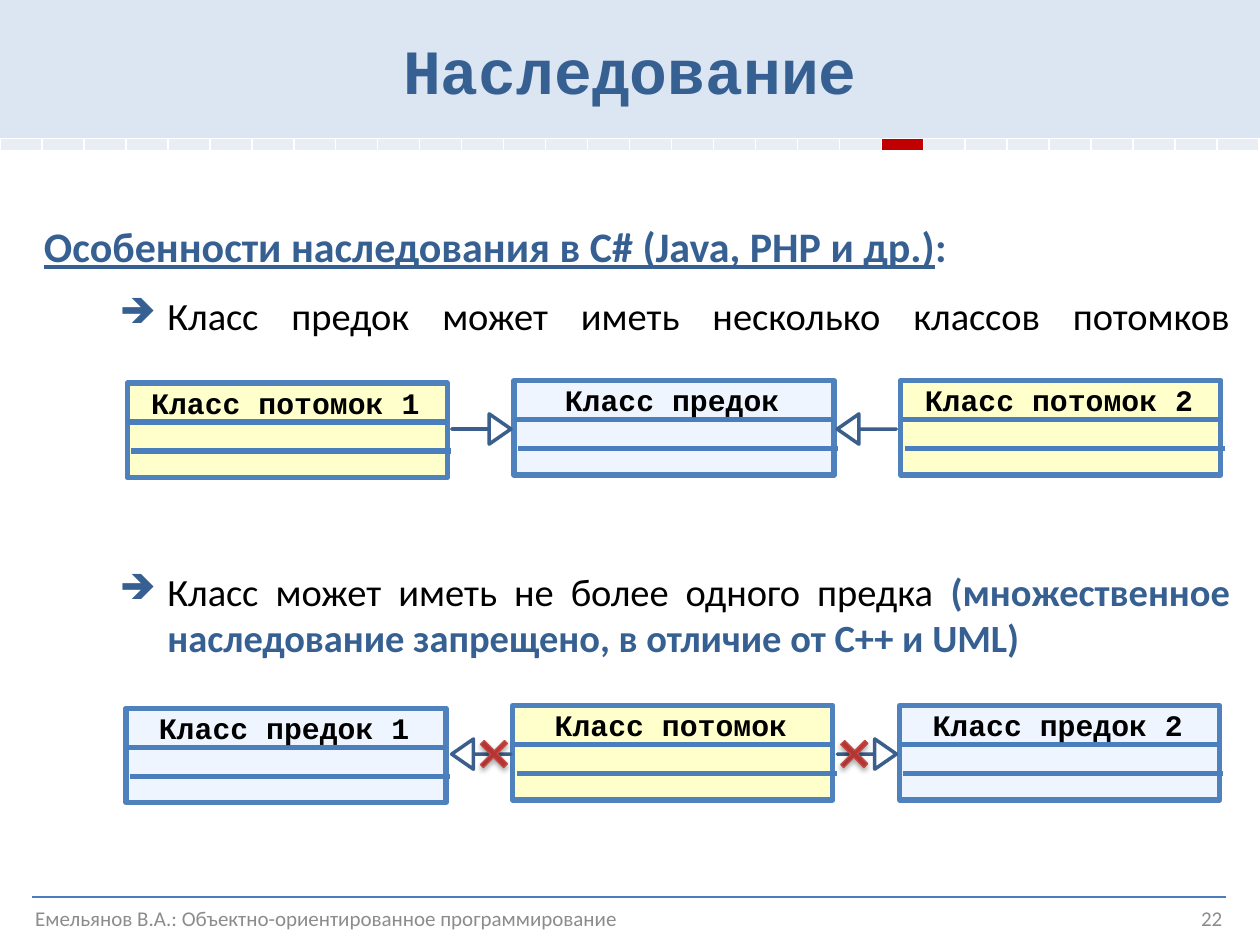
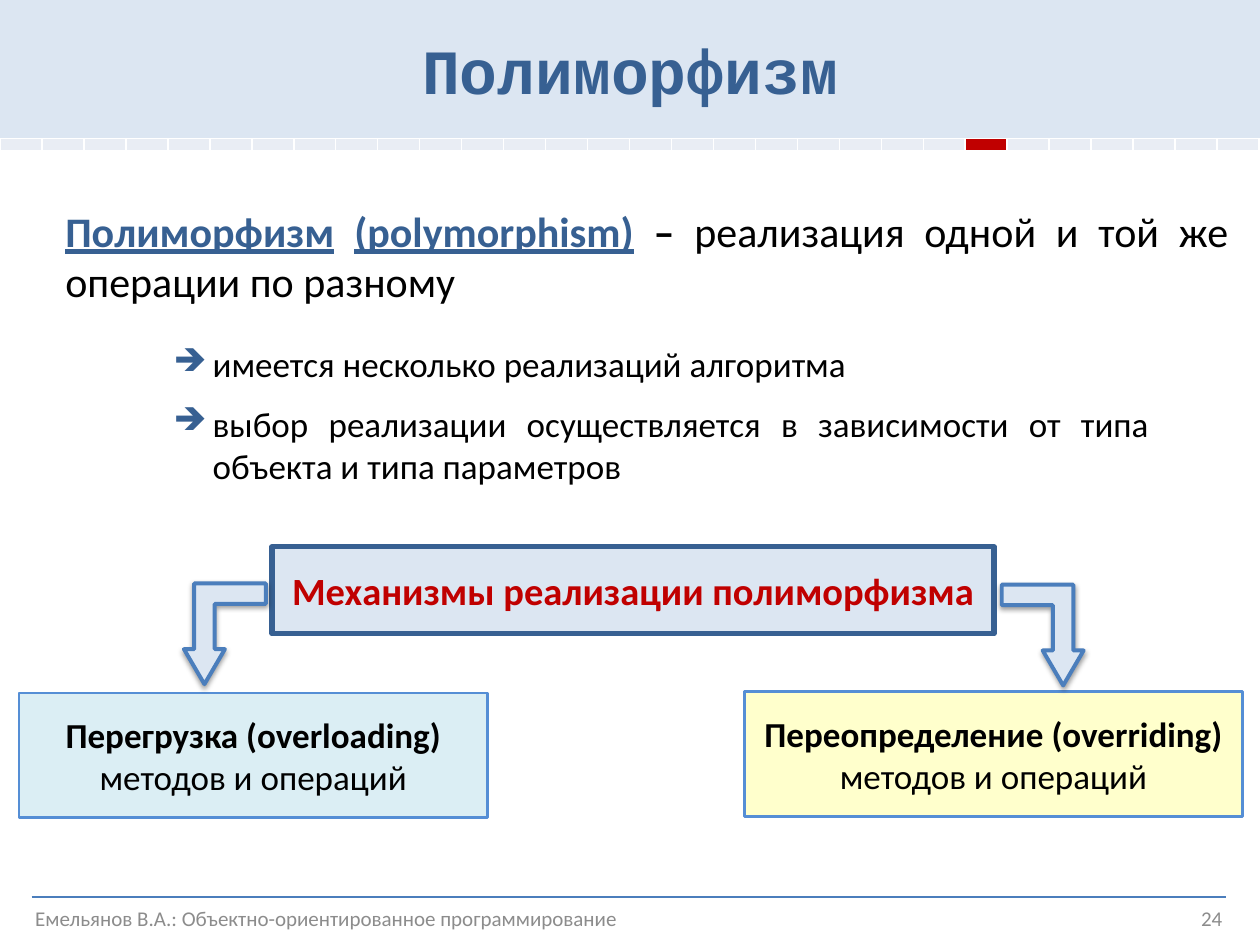
import pptx
import pptx.util
import pptx.dml.color
import pptx.enum.shapes
import pptx.enum.text
import pptx.oxml.ns
from dataclasses import dataclass
from lxml import etree

Inches, Pt = pptx.util.Inches, pptx.util.Pt
SHAPE = pptx.enum.shapes.MSO_SHAPE
ALIGN = pptx.enum.text.PP_ALIGN
ANCHOR = pptx.enum.text.MSO_ANCHOR
qn = pptx.oxml.ns.qn


@dataclass(frozen=True)
class Theme:
    body_font: str = "Calibri"
    code_font: str = "Courier New"
    blue: str = "376092"
    line: str = "4B7EBC"
    outline: str = "4F81BD"
    arrow: str = "3A5F8C"
    frame: str = "558ED5"
    band: str = "DCE6F2"
    strip: str = "E9EDF4"
    red: str = "C00000"
    gray: str = "8C8C8C"
    black: str = "000000"
    white: str = "FFFFFF"
    yellow: str = "FFFFCC"
    pale: str = "EFF5FF"
    aqua: str = "DBEEF4"
    cross_dark: str = "9C2F2D"
    cross_light: str = "CE3B37"
    cross_line: str = "BF4C48"
    title_size: int = 36
    heading_size: int = 24
    bullet_size: int = 22
    detail_size: int = 20
    class_size: int = 17
    footer_size: int = 12


THEME = Theme()

# Content: a run is (text, style)
FOOTER = "Емельянов В.А.: Объектно-ориентированное программирование"
STRIP_CELLS = 30
ACCENT = dict(color=THEME.blue, bold=True)
UNDERLINED = dict(ACCENT, underline=True)
BOLD = dict(bold=True)

INHERITANCE = {
    "title": "Наследование",
    "number": 22,
    "heading": [("Особенности наследования в C# (Java, PHP и др.)", UNDERLINED), (":", ACCENT)],
    "many_children": [("Класс предок может иметь несколько классов потомков\v", {})],
    "one_parent": [
        ("Класс может иметь не более одного предка ", {}),
        ("(множественное наследование запрещено, в отличие от C++ и UML)", ACCENT),
    ],
}
# Class rows: top, left, (name, fill) per class, rotation per arrow, arrows crossed out
CLASS_ROWS = [
    (3.02, 1.01, [("Класс потомок 1", THEME.yellow), ("Класс предок", THEME.pale),
                  ("Класс потомок 2", THEME.yellow)], (90, 270), False),
    (5.6, 1.0, [("Класс предок 1", THEME.pale), ("Класс потомок", THEME.yellow),
                ("Класс предок 2", THEME.pale)], (270, 90), True),
]
CLASS_WIDTH, CLASS_HEIGHT, CLASS_PITCH = 2.54, 0.75, 3.07
FIRST_CLASS_DROP = 0.02
DIVIDERS = [(0, 0.31), (0.03, 0.54)]
ARROW_LEFTS, CROSS_LEFTS = (3.7, 6.76), (3.79, 6.65)

POLYMORPHISM = {
    "title": "Полиморфизм",
    "number": 24,
    "definition": [
        ("Полиморфизм", UNDERLINED), (" ", ACCENT), ("(polymorphism)", UNDERLINED),
        (" ", ACCENT), ("– ", BOLD), ("реализация одной и той же операции по разному", {}),
    ],
    "features": [
        "имеется несколько реализаций алгоритма",
        "выбор реализации осуществляется в зависимости от типа объекта и типа параметров",
    ],
    "mechanisms": "Механизмы реализации полиморфизма",
}
# Mechanisms: position, fill, name
MECHANISMS = [
    ((0.15, 5.5, 3.72, 0.99), THEME.aqua, "Перегрузка (overloading)"),
    ((5.91, 5.49, 3.95, 0.99), THEME.yellow, "Переопределение (overriding)"),
]
MECHANISM_OBJECT = "методов и операций"
BENT_ARROWS = [((1.46, 4.63, 0.65, 0.8), False), ((7.95, 4.64, 0.65, 0.8), True)]


# Drawing helpers
def rgb(value):
    return pptx.dml.color.RGBColor.from_string(value)


def add_runs(paragraph, runs, size, font=THEME.body_font, align=ALIGN.LEFT):
    paragraph.alignment = align
    for text, style in runs:
        run = paragraph.add_run()
        run.text = text.rstrip("\v")
        run.font.name, run.font.size = font, Pt(size)
        run.font.bold = style.get("bold", False)
        run.font.underline = style.get("underline", False)
        run.font.color.rgb = rgb(style.get("color", THEME.black))
        if text.endswith("\v"):
            paragraph.add_line_break()


def set_insets(frame, inset):
    frame.margin_left = frame.margin_right = Inches(inset)
    frame.margin_top = frame.margin_bottom = Inches(inset)


def add_text_box(slide, box, anchor=ANCHOR.TOP):
    frame = slide.shapes.add_textbox(*map(Inches, box)).text_frame
    frame.word_wrap = True
    frame.vertical_anchor = anchor
    return frame


def set_bullet(paragraph, left, hanging):
    properties = paragraph._p.get_or_add_pPr()
    properties.set("marL", str(Inches(left)))
    properties.set("indent", str(-Inches(hanging)))
    color = etree.SubElement(properties, qn("a:buClr"))
    etree.SubElement(color, qn("a:srgbClr"), val=THEME.blue)
    etree.SubElement(properties, qn("a:buSzPct"), val="90000")
    etree.SubElement(properties, qn("a:buChar"), char="➔")


def add_shape(slide, kind, box, fill, line, width, rotation=0, adjustments=()):
    shape = slide.shapes.add_shape(kind, *map(Inches, box))
    shape.shadow.inherit = False
    shape.rotation = rotation
    for index, value in enumerate(adjustments):
        shape.adjustments[index] = value
    shape.fill.solid()
    shape.fill.fore_color.rgb = rgb(fill)
    shape.line.color.rgb = rgb(line)
    shape.line.width = Pt(width)
    return shape


def add_line(slide, left, top, right, width):
    connector = slide.shapes.add_connector(
        pptx.enum.shapes.MSO_CONNECTOR.STRAIGHT,
        Inches(left), Inches(top), Inches(right), Inches(top))
    connector.line.color.rgb = rgb(THEME.line)
    connector.line.width = Pt(width)
    etree.SubElement(connector._element.spPr, qn("a:effectLst"))


def add_shadow(shape, opacity, distance):
    effects = shape._element.spPr.find(qn("a:effectLst"))
    shadow = etree.SubElement(effects, qn("a:outerShdw"), blurRad=str(Pt(3.1)),
                              dist=str(Pt(distance)), dir="5400000", rotWithShape="0")
    color = etree.SubElement(shadow, qn("a:srgbClr"), val=THEME.black)
    etree.SubElement(color, qn("a:alpha"), val=str(opacity * 1000))


# Parts shared by the slides
def add_progress_strip(slide, number):
    table = slide.shapes.add_table(
        1, STRIP_CELLS, 0, Inches(1.1), Inches(10), Inches(0.1)).table
    table.first_row = table.horz_banding = False
    for index, cell in enumerate(table.rows[0].cells):
        set_insets(cell, 0)
        etree.SubElement(cell.text_frame.paragraphs[0]._p, qn("a:endParaRPr"), sz="100")
        properties = cell._tc.get_or_add_tcPr()
        for side in ("lnL", "lnR", "lnT", "lnB"):
            border = etree.SubElement(properties, qn(f"a:{side}"), w=str(Pt(1)))
            fill = etree.SubElement(border, qn("a:solidFill"))
            etree.SubElement(fill, qn("a:srgbClr"), val=THEME.white)
        cell.fill.solid()
        cell.fill.fore_color.rgb = rgb(THEME.red if index == number - 1 else THEME.strip)


def start_slide(presentation, content):
    slide = presentation.slides.add_slide(presentation.slide_layouts[5])
    add_progress_strip(slide, content["number"])
    title = slide.shapes.title
    title.left, title.top, title.width, title.height = map(Inches, (0, 0, 10, 1.1))
    title.fill.solid()
    title.fill.fore_color.rgb = rgb(THEME.band)
    title.text_frame.vertical_anchor = ANCHOR.MIDDLE
    add_runs(title.text_frame.paragraphs[0], [(content["title"], ACCENT)],
             THEME.title_size, THEME.code_font, ALIGN.CENTER)
    for text, box, align in (
            (FOOTER, (0.11, 7.08, 4.96, 0.41), ALIGN.CENTER),
            (str(content["number"]), (7.47, 7.09, 2.33, 0.4), ALIGN.RIGHT)):
        frame = add_text_box(slide, box, ANCHOR.MIDDLE)
        add_runs(frame.paragraphs[0], [(text, dict(color=THEME.gray))],
                 THEME.footer_size, align=align)
    add_line(slide, 0.25, 7.12, 9.73, 0.75)
    return slide


# Slide parts
def add_class(slide, left, top, name, fill):
    add_shape(slide, SHAPE.RECTANGLE, (left, top, CLASS_WIDTH, CLASS_HEIGHT),
              fill, THEME.outline, 3)
    for shift, drop in DIVIDERS:
        add_line(slide, left + shift, top + drop, left + shift + CLASS_WIDTH, 3)
    frame = add_text_box(slide, (left - 0.02, top + 0.01, 2.55, 0.29))
    set_insets(frame, 0)
    add_runs(frame.paragraphs[0], [(name, BOLD)], THEME.class_size,
             THEME.code_font, ALIGN.CENTER)


def add_cross(slide, left, top):
    cross = add_shape(slide, SHAPE.CROSS, (left, top, 0.26, 0.27), THEME.cross_light,
                      THEME.cross_line, 0.75, 45, [0.437])
    cross.fill.gradient()
    cross.fill.gradient_angle = 90
    for stop, color in zip(cross.fill.gradient_stops, (THEME.cross_dark, THEME.cross_light)):
        stop.color.rgb = rgb(color)
    add_shadow(cross, 35, 1.8)


def build_inheritance(presentation):
    slide = start_slide(presentation, INHERITANCE)
    upper = add_text_box(slide, (0.25, 1.7, 9.61, 1.25))
    heading = upper.paragraphs[0]
    add_runs(heading, INHERITANCE["heading"], THEME.heading_size)
    heading.space_after = Pt(12)
    lower = add_text_box(slide, (0.25, 4.46, 9.61, 0.9))
    for paragraph, key in ((upper.add_paragraph(), "many_children"),
                           (lower.paragraphs[0], "one_parent")):
        set_bullet(paragraph, 0.98, 0.38)
        add_runs(paragraph, INHERITANCE[key], THEME.bullet_size, align=ALIGN.JUSTIFY)

    for top, left, classes, rotations, crossed in CLASS_ROWS:
        for column, (name, fill) in enumerate(classes):
            drop = 0 if column else FIRST_CLASS_DROP
            add_class(slide, left + column * CLASS_PITCH, top + drop, name, fill)
        for arrow_left, rotation in zip(ARROW_LEFTS, rotations):
            add_shape(slide, SHAPE.UP_ARROW, (arrow_left, top + 0.15, 0.24, 0.47),
                      THEME.white, THEME.arrow, 2, rotation, [0, 0.721])
        if crossed:
            for cross_left in CROSS_LEFTS:
                add_cross(slide, cross_left, top + 0.25)


def build_polymorphism(presentation):
    slide = start_slide(presentation, POLYMORPHISM)
    definition = add_text_box(slide, (0.42, 1.58, 9.43, 0.95))
    add_runs(definition.paragraphs[0], POLYMORPHISM["definition"],
             THEME.heading_size, align=ALIGN.JUSTIFY)
    features = add_text_box(slide, (0.78, 2.67, 8.44, 1.28))
    for index, text in enumerate(POLYMORPHISM["features"]):
        paragraph = features.add_paragraph() if index else features.paragraphs[0]
        set_bullet(paragraph, 0.81, 0.31)
        add_runs(paragraph, [(text, {})], THEME.detail_size, align=ALIGN.JUSTIFY)
        paragraph.space_after = Pt(6)
        if index:
            paragraph.space_before = Pt(4)

    # Mechanisms and the arrows leading to them
    boxes = [((2.16, 4.34, 5.73, 0.69), THEME.band, THEME.blue, 3, THEME.bullet_size,
              [(POLYMORPHISM["mechanisms"], dict(color=THEME.red, bold=True))])]
    boxes += [(box, fill, THEME.frame, 1.5, THEME.detail_size,
               [(name, BOLD), (MECHANISM_OBJECT, {})]) for box, fill, name in MECHANISMS]
    for box, fill, line, width, size, lines in boxes:
        shape = add_shape(slide, SHAPE.RECTANGLE, box, fill, line, width)
        frame = shape.text_frame
        frame.word_wrap = True
        frame.vertical_anchor = ANCHOR.MIDDLE
        set_insets(frame, 0)
        for index, run in enumerate(lines):
            paragraph = frame.add_paragraph() if index else frame.paragraphs[0]
            add_runs(paragraph, [run], size, align=ALIGN.CENTER)
    for box, flipped in BENT_ARROWS:
        arrow = add_shape(slide, SHAPE.BENT_UP_ARROW, box, THEME.band, THEME.line,
                          2.25, 180, [0.25, 0.25, 0.428])
        if flipped:
            arrow._element.spPr.find(qn("a:xfrm")).set("flipH", "1")
        add_shadow(arrow, 38, 1.6)


def main():
    presentation = pptx.Presentation()
    presentation.slide_width, presentation.slide_height = Inches(10), Inches(7.5)
    build_inheritance(presentation)
    build_polymorphism(presentation)
    presentation.save("out.pptx")


if __name__ == "__main__":
    main()
